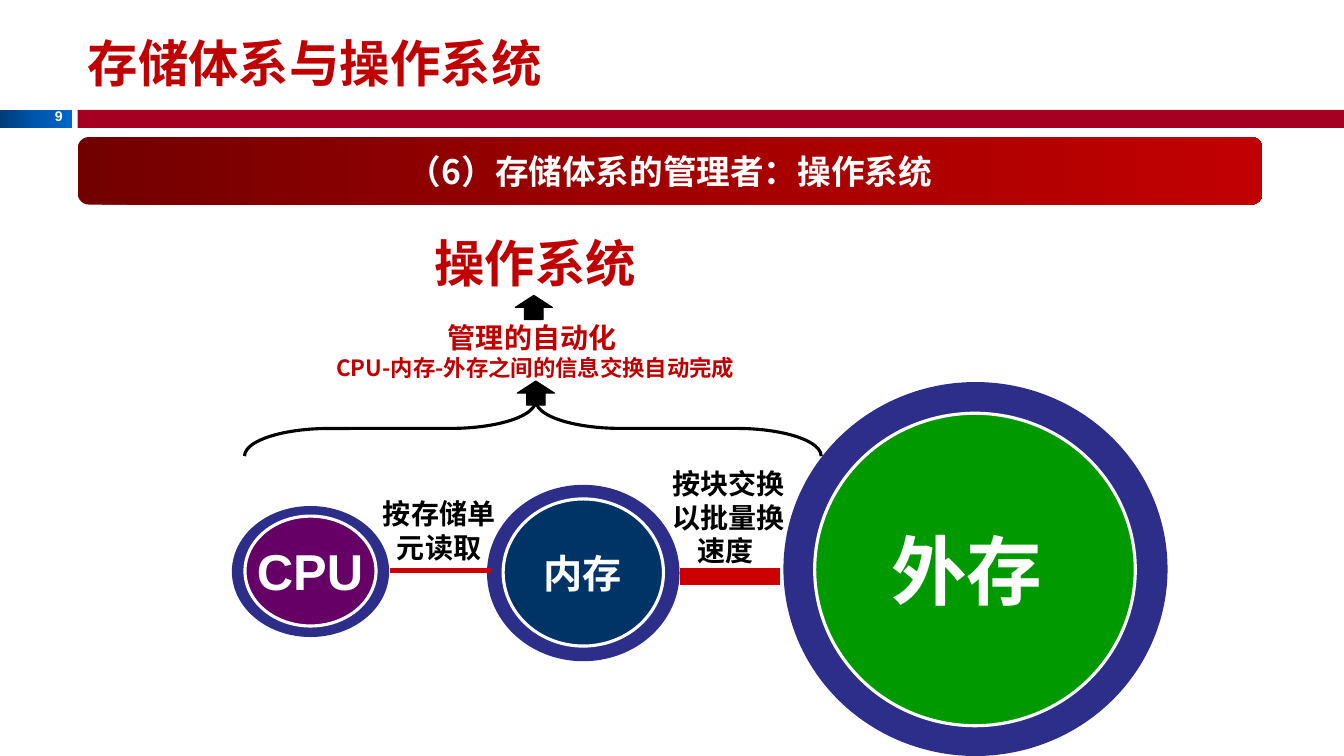
from copy import deepcopy

from pptx import Presentation
from pptx.dml.color import RGBColor
from pptx.enum.shapes import MSO_CONNECTOR, MSO_SHAPE
from pptx.enum.text import MSO_ANCHOR, PP_ALIGN
from pptx.oxml.ns import qn
from pptx.util import Inches, Pt

WHITE = RGBColor(0xFF, 0xFF, 0xFF)
BLACK = RGBColor(0x00, 0x00, 0x00)
RED = RGBColor(0xC0, 0x00, 0x00)
LINK_RED = RGBColor(0xCC, 0x00, 0x00)
CRIMSON = RGBColor(0xA5, 0x00, 0x21)
RING_BLUE = RGBColor(0x2D, 0x2D, 0x8A)
PURPLE = RGBColor(0x66, 0x00, 0x66)
NAVY = RGBColor(0x00, 0x33, 0x66)
GREEN = RGBColor(0x00, 0x99, 0x00)
BLUE_FADE = (RGBColor(0x00, 0x3C, 0x79), RGBColor(0x00, 0x56, 0xAC), RGBColor(0x00, 0x66, 0xCC))
RED_FADE = (RGBColor(0x72, 0x00, 0x00), RGBColor(0xA2, 0x00, 0x00), RED)

CJK_FONT = "Noto Sans CJK SC"


def write(box, text, sizes, color, font=CJK_FONT, align=PP_ALIGN.CENTER,
          anchor=MSO_ANCHOR.TOP, wrap=True):
    frame = box.text_frame
    frame.word_wrap = wrap
    frame.vertical_anchor = anchor
    frame.text = text
    for para, size in zip(frame.paragraphs, sizes):
        para.alignment = align
        for span in para.runs:
            span.font.name = font
            span.font.size = Pt(size)
            span.font.bold = True
            span.font.color.rgb = color
            east_asian = span.font._element.makeelement(qn("a:ea"), {"typeface": CJK_FONT})
            span.font._element.find(qn("a:latin")).addnext(east_asian)


def add_text(page, place, text, *sizes, color, **text_format):
    box = page.shapes.add_textbox(*map(Inches, place))
    write(box, text, sizes, color, **text_format)


def add_figure(page, kind, place, fill=None, line=None, line_width=0.75):
    figure = page.shapes.add_shape(kind, *map(Inches, place))
    figure.shadow.inherit = False
    if fill is None:
        figure.fill.background()
    else:
        figure.fill.solid()
        figure.fill.fore_color.rgb = fill
    if line is None:
        figure.line.fill.background()
    else:
        figure.line.color.rgb = line
        figure.line.width = Pt(line_width)
    return figure


def add_faded(page, kind, place, colors):
    figure = add_figure(page, kind, place)
    figure.fill.gradient()
    figure.fill.gradient_angle = 0
    stop_list = figure._element.spPr.find(".//" + qn("a:gsLst"))
    stop_list.append(deepcopy(stop_list[0]))
    for stop, position, color in zip(figure.fill.gradient_stops, (0, 0.5, 1), colors):
        stop.position = position
        stop.color.rgb = color
    return figure


def add_storage(page, ring, thickness, disc, color, label_place, label, size, font=CJK_FONT):
    donut = add_figure(page, MSO_SHAPE.DONUT, ring, RING_BLUE)
    donut.adjustments[0] = thickness / min(ring[2:])
    add_figure(page, MSO_SHAPE.OVAL, disc, color, WHITE, 2.25)
    add_text(page, label_place, label, size, color=WHITE, font=font)


def add_link(page, left, right, height, width):
    link = page.shapes.add_connector(
        MSO_CONNECTOR.STRAIGHT, Inches(left), Inches(height), Inches(right), Inches(height))
    link.line.color.rgb = LINK_RED
    link.line.width = Pt(width)
    properties = link._element.spPr
    properties.append(properties.makeelement(qn("a:effectLst"), {}))


def add_header(page):
    add_faded(page, MSO_SHAPE.RECTANGLE, (0, 1.09, 0.71, 0.18), BLUE_FADE)
    add_figure(page, MSO_SHAPE.RECTANGLE, (0.77, 1.09, 12.56, 0.18), CRIMSON)
    add_text(page, (0.35, 1.02, 0.37, 0.27), "9", 10, color=WHITE, font="Arial",
             align=PP_ALIGN.RIGHT, wrap=False)
    title = page.shapes.title
    title.left, title.top, title.width, title.height = map(Inches, (0.77, 0.2, 11.67, 0.83))
    write(title, "存储体系与操作系统", [36], RED, align=PP_ALIGN.LEFT, anchor=MSO_ANCHOR.MIDDLE)
    banner = add_faded(page, MSO_SHAPE.ROUNDED_RECTANGLE, (0.77, 1.36, 11.75, 0.67), RED_FADE)
    write(banner, "（6）存储体系的管理者：操作系统", [24], WHITE, anchor=MSO_ANCHOR.MIDDLE)


def add_hierarchy(page):
    add_storage(page, (4.83, 4.81, 1.91, 1.75), 0.16, (4.99, 4.95, 1.59, 1.46), NAVY,
                (4.99, 5.4, 1.58, 0.57), "内存", 28)
    add_storage(page, (7.77, 3.79, 3.81, 3.71), 0.33, (8.08, 4.1, 3.18, 3.1), GREEN,
                (8.1, 5.15, 3.15, 1), "外存 ", 54)
    add_storage(page, (2.3, 5.02, 1.56, 1.3), 0.12, (2.43, 5.12, 1.3, 1.09), PURPLE,
                (2.43, 5.31, 1.29, 0.7), "CPU", 36, "Arial")
    add_link(page, 3.87, 4.87, 5.66, 3)
    add_link(page, 6.74, 7.74, 5.72, 12)
    add_text(page, (6.55, 4.58, 1.35, 1.1), "按块交换\n以批量换速度 ", 20, 20,
             color=BLACK, font="Arial")
    add_text(page, (3.69, 4.88, 1.33, 0.77), "按存储单元读取", 20, color=BLACK, font="Arial")


def add_management(page):
    brace = add_figure(page, MSO_SHAPE.LEFT_BRACE, (5.01, 1.39, 0.55, 5.72),
                       line=BLACK, line_width=2.25)
    brace.rotation = 90
    brace.adjustments[0] = 1.53
    brace.adjustments[1] = 0.495
    for left, top in ((5.13, 3.78), (5.11, 2.93)):
        add_figure(page, MSO_SHAPE.UP_ARROW, (left, top, 0.37, 0.24), BLACK, BLACK)
    add_text(page, (3.08, 3.13, 4.46, 0.71),
             "管理的自动化 \nCPU-内存-外存之间的信息交换自动完成", 20, 16, color=RED)
    add_text(page, (4.2, 2.25, 2.22, 0.71), "操作系统", 36, color=RED, wrap=False)


def main():
    deck = Presentation()
    deck.slide_width = Inches(13.33)
    deck.slide_height = Inches(7.5)
    page = deck.slides.add_slide(deck.slide_layouts[5])
    add_header(page)
    add_hierarchy(page)
    add_management(page)
    deck.save("out.pptx")


if __name__ == "__main__":
    main()
